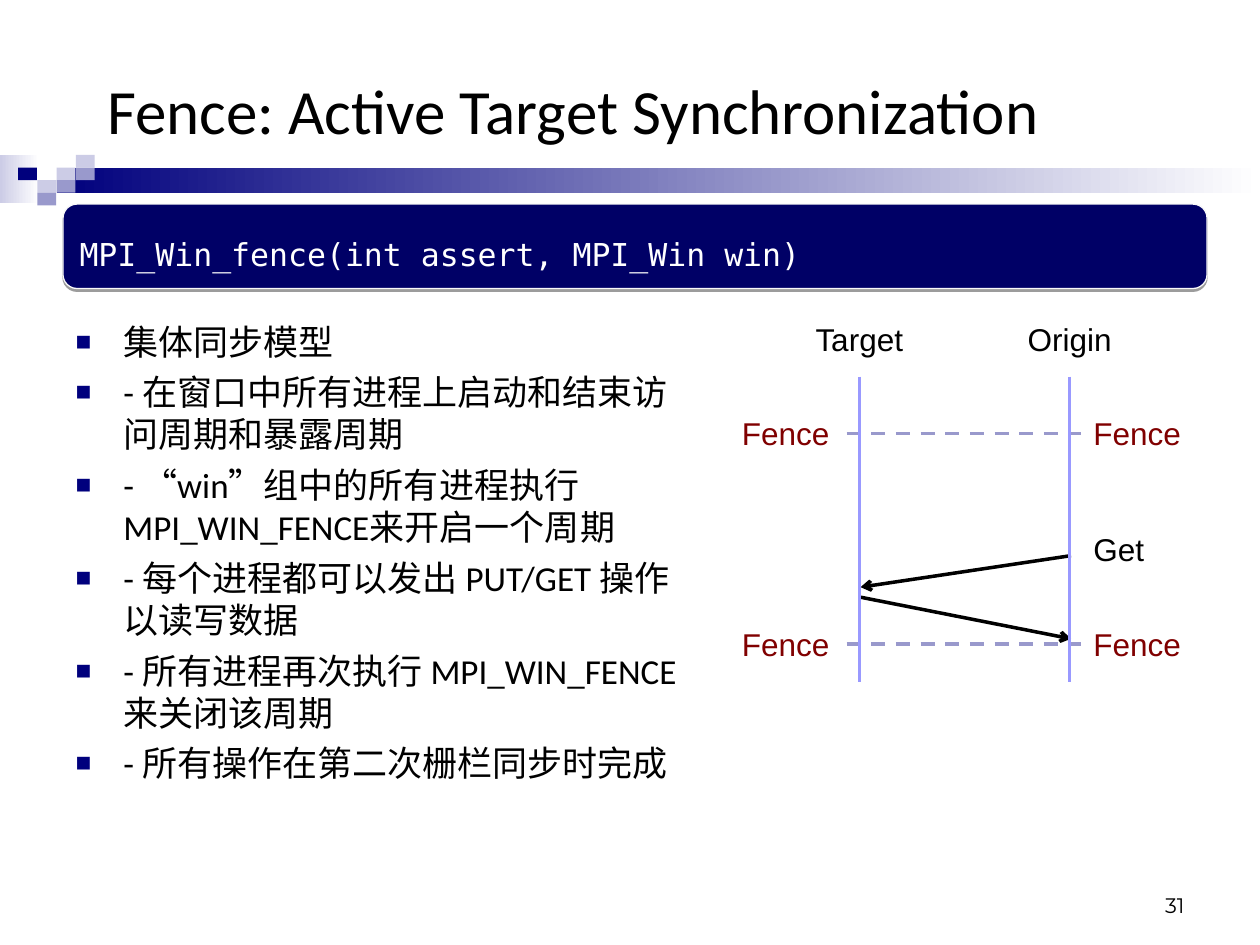
from dataclasses import dataclass

from lxml.etree import SubElement
from pptx import Presentation
from pptx.dml.color import RGBColor
from pptx.enum.dml import MSO_LINE
from pptx.enum.shapes import MSO_CONNECTOR, MSO_SHAPE
from pptx.enum.text import MSO_ANCHOR, MSO_AUTO_SIZE, PP_ALIGN
from pptx.oxml.ns import qn
from pptx.util import Inches, Pt

UNIT = Inches(0.1)
COLUMNS, ROWS = 100, 75

BLACK = RGBColor(0x00, 0x00, 0x00)
WHITE = RGBColor(0xFF, 0xFF, 0xFF)
NAVY = RGBColor(0x00, 0x00, 0x7D)
DEEP_BLUE = RGBColor(0x00, 0x00, 0x66)
LAVENDER = RGBColor(0x99, 0x99, 0xCC)
PALE = RGBColor(0xCC, 0xCC, 0xE6)
PERIWINKLE = RGBColor(0x99, 0x99, 0xFF)
MAROON = RGBColor(0x80, 0x00, 0x00)
OFF_WHITE = RGBColor(0xF9, 0xF9, 0xF9)

TITLE = "Fence: Active Target Synchronization"
SIGNATURE = "MPI_Win_fence(int assert, MPI_Win win)"
POINTS = [
    "集体同步模型",
    "- 在窗口中所有进程上启动和结束访问周期和暴露周期",
    "- “win”组中的所有进程执行 MPI_WIN_FENCE来开启一个周期",
    "- 每个进程都可以发出 PUT/GET 操作以读写数据",
    "- 所有进程再次执行 MPI_WIN_FENCE 来关闭该周期",
    "- 所有操作在第二次栅栏同步时完成",
]


@dataclass
class Box:
    """A rectangle in grid columns and rows."""

    left: float
    top: float
    width: float
    height: float

    def inner(self, left, top, width, height):
        """Return a box placed from this box's top left corner."""
        return Box(self.left + left, self.top + top, width, height)

    def lengths(self):
        """Return left, top, width and height as slide lengths."""
        return [round(n * UNIT) for n in (self.left, self.top, self.width, self.height)]


def apply(target, values):
    """Set each named attribute of the target."""
    for name, value in values.items():
        setattr(target, name, value)


def place(shape, box):
    """Move a shape into a box."""
    apply(shape, dict(zip(("left", "top", "width", "height"), box.lengths())))


def write(para, text, size, face, color):
    """Add one formatted span to a paragraph."""
    span = para.add_run()
    span.text = text
    apply(span.font, {"size": Pt(size), "name": face, "bold": False})
    span.font.color.rgb = color


def add_block(page, box, color, fade=False):
    """Draw a borderless rectangle, plain or fading to white."""
    block = page.shapes.add_shape(MSO_SHAPE.RECTANGLE, *box.lengths())
    block.shadow.inherit = False
    block.line.fill.background()
    if fade:
        block.fill.gradient()
        block.fill.gradient_angle = 0
        for stop, tone in zip(block.fill.gradient_stops, (color, WHITE)):
            stop.color.rgb = tone
    else:
        block.fill.solid()
        block.fill.fore_color.rgb = color


def add_label(page, box, text, color=BLACK, align=PP_ALIGN.LEFT):
    """Write a diagram label."""
    frame = page.shapes.add_textbox(*box.lengths()).text_frame
    apply(frame, {"word_wrap": True, "auto_size": MSO_AUTO_SIZE.SHAPE_TO_FIT_TEXT})
    frame.paragraphs[0].alignment = align
    write(frame.paragraphs[0], text, 18, "Arial", color)


def add_line(page, box, color, dash=None, arrow=False):
    """Draw a line from a box's top left along its width and height."""
    left, top, width, height = box.lengths()
    line = page.shapes.add_connector(
        MSO_CONNECTOR.STRAIGHT, left, top, left + width, top + height)
    line.line.color.rgb = color
    apply(line.line, {"width": Pt(2), "dash_style": dash})
    if arrow:
        SubElement(line.line._get_or_add_ln(), qn("a:tailEnd"), type="arrow")
    SubElement(line._element.spPr, qn("a:effectLst"))


def build_ornament(page, box):
    """Draw the fading band and its mosaic of small blocks."""
    add_block(page, box.inner(0, 0, 3.1, 3.8), PALE, fade=True)
    add_block(page, box.inner(4.5, 1, 95.5, 2), NAVY, fade=True)
    mosaic = [(3, 1, PALE), (4, 0, PALE), (4, 1, LAVENDER), (2, 2, PALE),
              (1, 1, NAVY), (3, 2, LAVENDER), (2, 3, LAVENDER)]
    for column, row, color in mosaic:
        add_block(page, box.inner(column * 1.53 - 0.1, row, 1.5, 1), color)


def build_title(page, box):
    """Fill the title placeholder."""
    title = page.shapes.title
    place(title, box)
    apply(title.text_frame, {"vertical_anchor": MSO_ANCHOR.MIDDLE,
                             "auto_size": MSO_AUTO_SIZE.NONE})
    para = title.text_frame.paragraphs[0]
    para.alignment = PP_ALIGN.LEFT
    write(para, TITLE, 36, "Calibri", BLACK)


def build_points(page, box):
    """Fill the body placeholder with square-bulleted points."""
    body = page.placeholders[1]
    place(body, box)
    frame = body.text_frame
    frame.auto_size = MSO_AUTO_SIZE.NONE
    for index, text in enumerate(POINTS):
        para = frame.add_paragraph() if index else frame.paragraphs[0]
        para.space_before = Pt(5 if index else 0)
        properties = para._p.get_or_add_pPr()
        properties.set("marL", str(Inches(0.38)))
        properties.set("indent", str(-Inches(0.38)))
        bullet_color = SubElement(properties, qn("a:buClr"))
        SubElement(bullet_color, qn("a:srgbClr"), val=str(NAVY))
        SubElement(properties, qn("a:buSzPct"), val="75000")
        SubElement(properties, qn("a:buFont"), typeface="Arial")
        SubElement(properties, qn("a:buChar"), char="■")
        write(para, text, 20, "Calibri", BLACK)


def build_signature(page, box):
    """Draw the rounded bar with the function signature."""
    bar = page.shapes.add_shape(MSO_SHAPE.ROUNDED_RECTANGLE, *box.lengths())
    bar.fill.solid()
    bar.fill.fore_color.rgb = DEEP_BLUE
    bar.line.color.rgb = OFF_WHITE
    bar.line.width = Pt(0.75)
    bar.shadow.inherit = False
    effects = bar._element.spPr.find(qn("a:effectLst"))
    shadow = SubElement(effects, qn("a:outerShdw"), blurRad="0",
                        dist=str(Pt(1.6)), dir="5400000", rotWithShape="0")
    shade = SubElement(shadow, qn("a:srgbClr"), val=str(BLACK))
    SubElement(shade, qn("a:alpha"), val="38000")
    bar.text_frame.vertical_anchor = MSO_ANCHOR.MIDDLE
    para = bar.text_frame.paragraphs[0]
    apply(para, {"alignment": PP_ALIGN.LEFT, "line_spacing": 1.4})
    write(para, SIGNATURE, 18, "DejaVu Sans Mono", WHITE)


def build_diagram(page, box):
    """Draw the two timelines, their fences and the Get exchange."""
    target, origin = 10.3, 27
    right, name_width = 27.9, 9.6
    for top in (9.5, 26.2):
        add_line(page, box.inner(9.3, top, 18.6, 0), LAVENDER, MSO_LINE.DASH)
        for left in (0, right):
            add_label(page, box.inner(left, top - 2, 9.4, 4), "Fence", MAROON)
    span = origin - target
    add_line(page, box.inner(origin + 0.1, 19.2, -span, 2.5), BLACK, arrow=True)
    add_line(page, box.inner(target + 0.1, 22.5, span, 3.3), BLACK, arrow=True)
    for center, name in ((target, "Target"), (origin, "Origin")):
        add_line(page, box.inner(center, 5, 0, 24.2), PERIWINKLE)
        add_label(page, box.inner(center - name_width / 2, 0, name_width, 4), name,
                  align=PP_ALIGN.CENTER)
    add_label(page, box.inner(right, 16.7, 7.5, 4), "Get")


def build_number(page, box):
    """Write the page number at the bottom right."""
    frame = page.shapes.add_textbox(*box.lengths()).text_frame
    apply(frame, {"word_wrap": True, "vertical_anchor": MSO_ANCHOR.BOTTOM})
    frame.paragraphs[0].alignment = PP_ALIGN.RIGHT
    write(frame.paragraphs[0], "31", 12, "Montserrat", BLACK)


def main():
    """Build the one-page deck and save it."""
    deck = Presentation()
    apply(deck, {"slide_width": COLUMNS * UNIT, "slide_height": ROWS * UNIT})
    page = deck.slides.add_slide(deck.slide_layouts[1])
    build_ornament(page, Box(0, 12.3, COLUMNS, 4))
    build_title(page, Box(7.5, 4.2, 84.2, 8.9))
    build_points(page, Box(5, 24.9, 50, 41.1))
    build_number(page, Box(71.7, 68.3, 23.3, 5))
    build_diagram(page, Box(57.9, 24.9, 37.3, 29.2))
    build_signature(page, Box(5, 16.2, 90.8, 6.7))
    deck.save("out.pptx")


if __name__ == "__main__":
    main()
